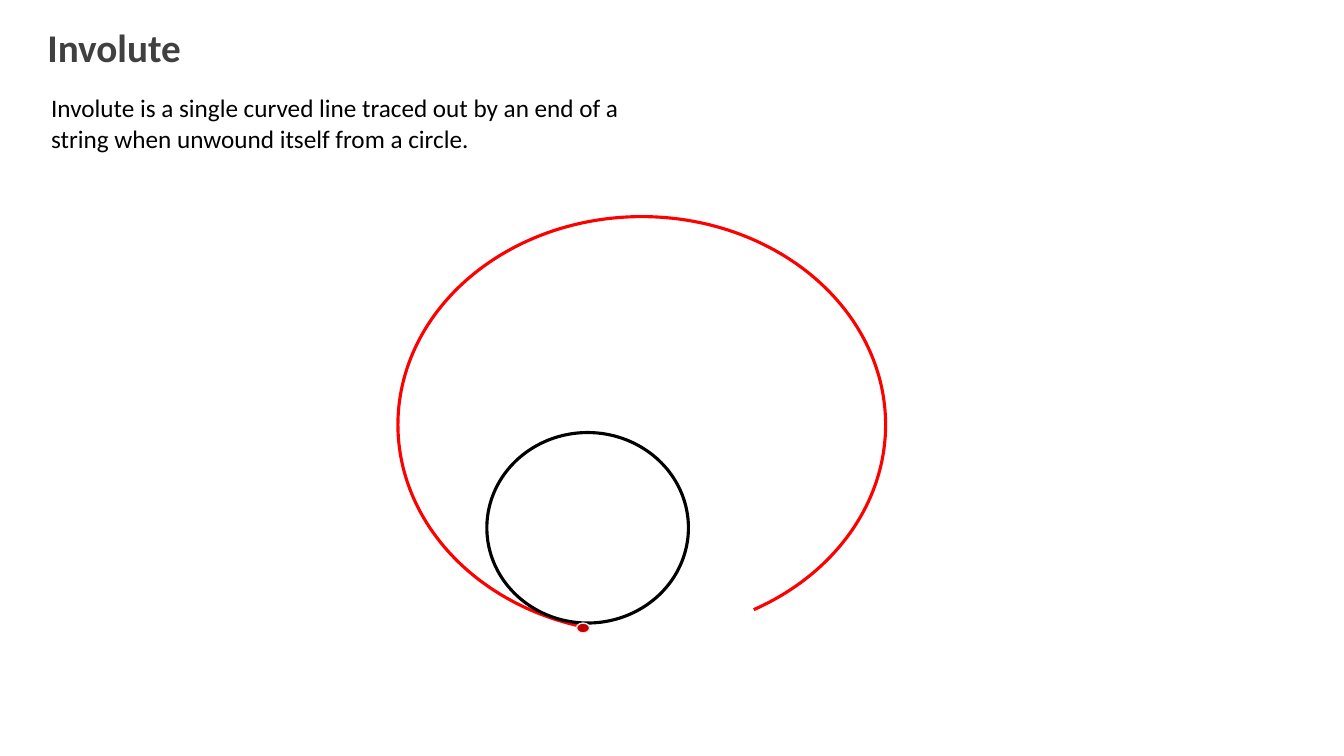
from pptx import Presentation
from pptx.dml.color import RGBColor
from pptx.enum.shapes import MSO_SHAPE
from pptx.enum.text import MSO_ANCHOR, PP_ALIGN
from pptx.util import Cm, Pt


def write(sp, text, size, color, bold=False, wrap=True):
    tf = sp.text_frame
    tf.word_wrap = wrap
    tf.vertical_anchor = MSO_ANCHOR.TOP
    p = tf.paragraphs[0]
    p.alignment = PP_ALIGN.LEFT
    r = p.add_run()
    r.text = text
    r.font.name = "Calibri"
    r.font.size = Pt(size)
    r.font.bold = bold
    r.font.color.rgb = RGBColor.from_string(color)


def draw(kind, box, line, width, fill=None):
    sp = slide.shapes.add_shape(kind, *map(Cm, box))
    sp.shadow.inherit = False
    sp.line.color.rgb = RGBColor.from_string(line)
    sp.line.width = Pt(width)
    if fill:
        sp.fill.solid()
        sp.fill.fore_color.rgb = RGBColor.from_string(fill)
    else:
        sp.fill.background()
    return sp


prs = Presentation()
prs.slide_width, prs.slide_height = Cm(33.87), Cm(19.05)
slide = prs.slides.add_slide(prs.slide_layouts[5])

title = slide.shapes.title
title.left, title.top, title.width, title.height = Cm(0.94), Cm(0.46), Cm(3.91), Cm(1.45)
write(title, "Involute", 28, "404040", bold=True, wrap=False)

definition = slide.shapes.add_textbox(Cm(1.04), Cm(2.21), Cm(15.14), Cm(1.8))
write(definition, "Involute is a single curved line traced out by an end of a "
      "string when unwound itself from a circle.", 18, "000000")

# The curve runs clockwise from the string end; angles are 60000ths of a degree
involute = draw(MSO_SHAPE.ARC, (10.03, 5.46, 12.29, 10.49), "FF0000", 2.25)
for i, degrees in enumerate((105, 58.8)):
    involute.adjustments[i] = degrees * 60000 / 100000

draw(MSO_SHAPE.OVAL, (12.27, 10.9, 5.08, 4.8), "000000", 2.25)
draw(MSO_SHAPE.FLOWCHART_CONNECTOR, (14.53, 15.7, 0.33, 0.25), "E7E6E6", 1, fill="C00000")

prs.save("out.pptx")
